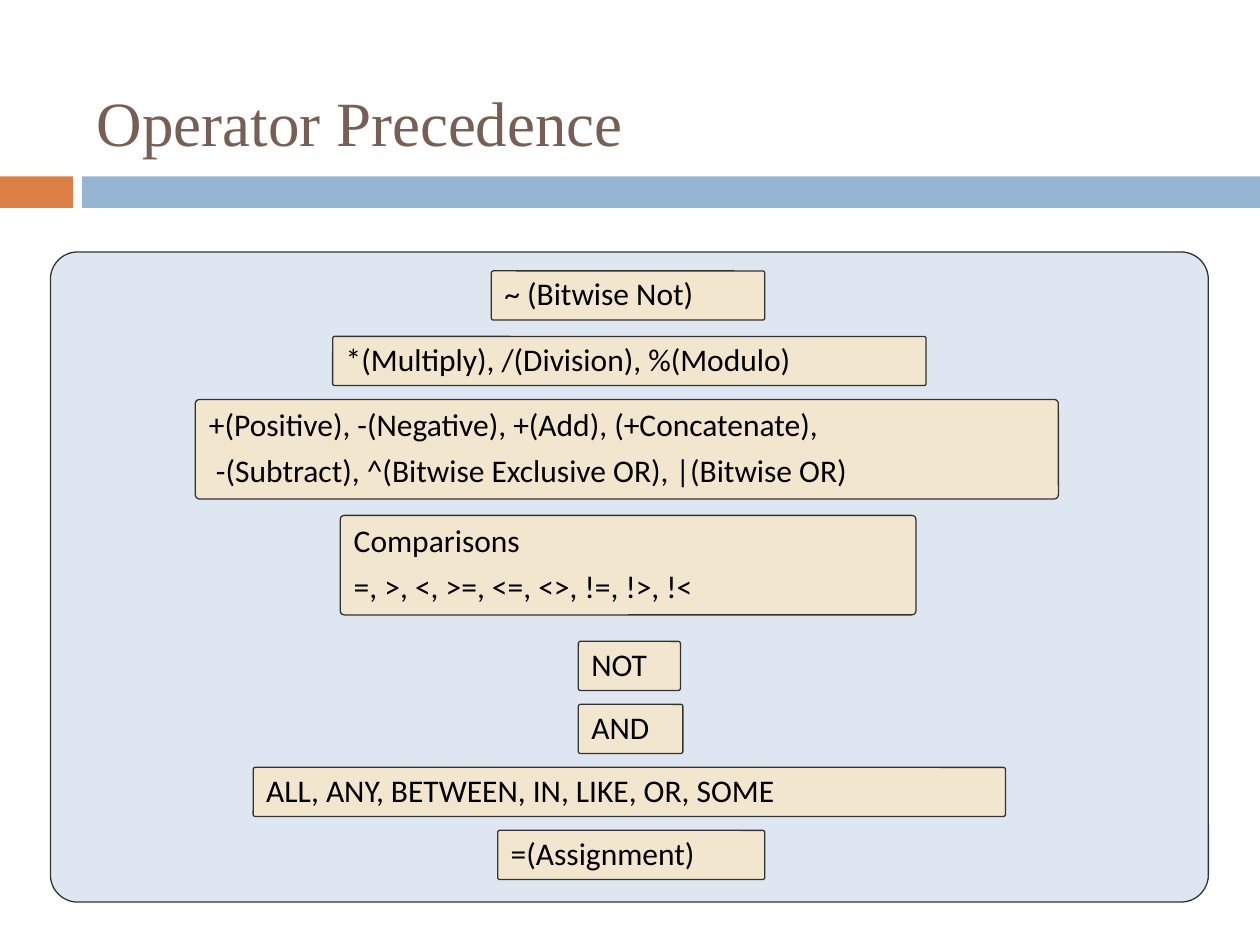
from pptx import Presentation
from pptx.dml.color import RGBColor
from pptx.enum.shapes import MSO_SHAPE as SHAPE
from pptx.enum.text import MSO_ANCHOR as ANCHOR, PP_ALIGN as ALIGN
from pptx.util import Emu, Pt

PX = 9144  # 100 px to the inch
ORANGE, BLUE, BROWN = "DD8047", "94B6D2", "775F55"
PANEL, SAND, OUTLINE, BLACK = "DEE7F1", "F2E7CE", "333333", "000000"

# left, top, width, lines of text; highest precedence first
LEVELS = [
    (390, 215, 217, ["~ (Bitwise Not)"]),
    (264, 267, 471, ["*(Multiply), /(Division), %(Modulo)"]),
    (155, 317, 685, ["+(Positive), -(Negative), +(Add), (+Concatenate),",
                     " -(Subtract), ^(Bitwise Exclusive OR), |(Bitwise OR)"]),
    (270, 409, 457, ["Comparisons", "=, >, <, >=, <=, <>, !=, !>, !<"]),
    (459, 509, 81, ["NOT"]),
    (459, 559, 83, ["AND"]),
    (201, 609, 597, ["ALL, ANY, BETWEEN, IN, LIKE, OR, SOME"]),
    (395, 659, 212, ["=(Assignment)"]),
]


def px(n):
    return Emu(n * PX)


def rgb(code):
    return RGBColor.from_string(code)


class Deck:
    """Holds the style and the current slide."""
    title_font, body_font = "Times New Roman", "Calibri"
    title_size, body_size = Pt(36), Pt(18)
    corner = 0.042

    def __init__(self, width, height):
        self.prs = Presentation()
        self.prs.slide_width, self.prs.slide_height = px(width), px(height)
        self.s = self.prs.slides.add_slide(self.prs.slide_layouts[6])

    def bar(self, x, y, w, h, fill, kind=SHAPE.RECTANGLE):
        sp = self.s.shapes.add_shape(kind, px(x), px(y), px(w), px(h))
        sp.shadow.inherit = False
        sp.fill.solid()
        sp.fill.fore_color.rgb = rgb(fill)
        sp.line.fill.background()
        return sp

    def panel(self, x, y, w, h, fill):
        """Add an outlined box with rounded corners."""
        sp = self.bar(x, y, w, h, fill, SHAPE.ROUNDED_RECTANGLE)
        sp.adjustments[0] = self.corner
        sp.line.color.rgb = rgb(OUTLINE)
        sp.line.width = Pt(0.75)
        return sp

    def add_text(self, sp, lines, font, size, color, spacing):
        tf = sp.text_frame
        tf.word_wrap = True
        tf.vertical_anchor = ANCHOR.MIDDLE
        for i, line in enumerate(lines):
            p = tf.add_paragraph() if i else tf.paragraphs[0]
            p.alignment = ALIGN.LEFT
            p.line_spacing = spacing
            p.space_before = Pt(7.2 if i else 0)
            r = p.add_run()
            r.text = line
            r.font.name, r.font.size = font, size
            r.font.color.rgb = rgb(color)

    def title(self, x, y, w, h, text):
        sp = self.s.shapes.add_textbox(px(x), px(y), px(w), px(h))
        self.add_text(sp, [text], self.title_font, self.title_size, BROWN, 1.0)

    def level(self, x, y, w, lines):
        """Add one precedence level, as tall as its lines need."""
        sp = self.panel(x, y, w, 40 * len(lines) - 1, SAND)
        self.add_text(sp, lines, self.body_font, self.body_size, BLACK, 0.9)


def main():
    deck = Deck(1000, 750)
    deck.bar(0, 140, 58, 25, ORANGE)
    deck.bar(65, 140, 935, 25, BLUE)
    deck.title(67, 42, 892, 108, "Operator Precedence")
    deck.panel(40, 200, 919, 516, PANEL)
    for level in LEVELS:
        deck.level(*level)
    deck.prs.save("out.pptx")


if __name__ == "__main__":
    main()
